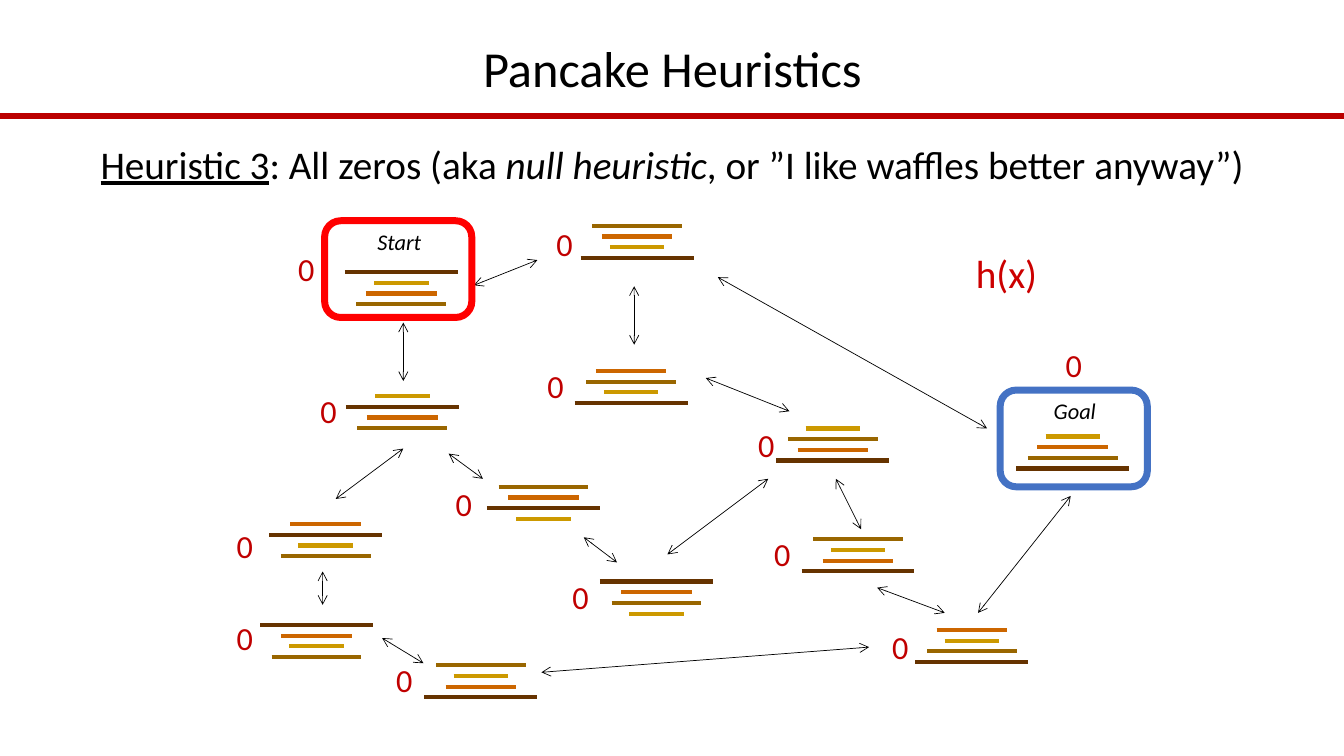
import pptx
import pptx.util
import pptx.dml.color
import pptx.enum.shapes
import pptx.enum.text
import pptx.oxml.ns
from dataclasses import dataclass
from lxml import etree

Inches = pptx.util.Inches
Align = pptx.enum.text.PP_ALIGN


@dataclass
class Theme:
    font: str = "Calibri"
    ink: str = "000000"
    rule: str = "BB0000"
    value: str = "C00000"
    function: str = "CC0000"
    start: str = "FF0000"
    goal: str = "4472C4"
    title_size: int = 36
    body_size: int = 28
    value_size: int = 23
    caption_size: int = 16
    rule_width: float = 4
    pancake_width: float = 3
    arrow_width: float = 0.5
    frame_width: float = 5
    pancake_pitch: float = 0.106


# Pancake size number: (length, colour)
PANCAKES = {1: (0.54, "CC9900"), 2: (0.7, "CC6600"),
            3: (0.89, "996600"), 4: (1.12, "663300")}

# Each state: pancakes from top to bottom, centre, top, left and top of its value
STATES = [
    ((4, 1, 2, 3), 3.98, 2.7, 2.86, 2.42),
    ((1, 4, 2, 3), 3.99, 3.93, 3.08, 3.83),
    ((3, 2, 1, 4), 6.32, 2.24, 5.42, 2.17),
    ((2, 4, 1, 3), 3.23, 5.2, 2.25, 5.17),
    ((3, 2, 4, 1), 5.39, 4.83, 4.42, 4.75),
    ((1, 2, 3, 4), 10.64, 4.33, 10.47, 3.37),
    ((2, 3, 1, 4), 6.26, 3.68, 5.33, 3.58),
    ((4, 2, 3, 1), 6.51, 5.77, 5.58, 5.67),
    ((4, 2, 1, 3), 3.14, 6.2, 2.25, 6.08),
    ((3, 1, 2, 4), 4.77, 6.6, 3.83, 6.5),
    ((1, 3, 2, 4), 8.26, 4.25, 7.42, 4.17),
    ((2, 1, 3, 4), 9.64, 6.25, 8.75, 6.17),
    ((3, 1, 2, 4), 8.51, 5.35, 7.58, 5.25),
]

# Flips between states: start point, end point
FLIPS = [
    (5.33, 2.58, 4.7, 2.83), (4, 3.78, 4, 3.2),
    (3.33, 4.95, 4, 4.45), (4.79, 4.75, 4.45, 4.5),
    (3.2, 6, 3.2, 5.67), (4.2, 6.58, 3.79, 6.33),
    (8.62, 6.42, 5.37, 6.67), (6.12, 5.58, 5.79, 5.33),
    (7.62, 4.75, 6.62, 5.5), (7, 3.75, 7.83, 4.08),
    (6.29, 2.84, 6.29, 3.42), (9.79, 4.25, 7.12, 2.75),
    (8.29, 4.75, 8.54, 5.25), (8.7, 5.83, 9.37, 6.08),
    (9.7, 6.08, 10.62, 4.92),
]


def rgb(colour):
    return pptx.dml.color.RGBColor.from_string(colour)


class Painter:
    def __init__(self, page, theme):
        self.page = page
        self.theme = theme

    def line(self, x1, y1, x2, y2, colour, width, arrows=False):
        connector = self.page.shapes.add_connector(
            pptx.enum.shapes.MSO_CONNECTOR.STRAIGHT,
            Inches(x1), Inches(y1), Inches(x2), Inches(y2))
        connector.line.color.rgb = rgb(colour)
        connector.line.width = pptx.util.Pt(width)
        qn = pptx.oxml.ns.qn
        properties = connector._element.spPr
        if arrows:
            outline = properties.find(qn("a:ln"))
            for end in ("a:headEnd", "a:tailEnd"):
                etree.SubElement(outline, qn(end), type="arrow")
        etree.SubElement(properties, qn("a:effectLst"))

    def text(self, left, top, width, height, spans, size, colour, align=Align.LEFT):
        """Spans are (wording, style) pairs; style is "", "italic" or "underline"."""
        box = self.page.shapes.add_textbox(
            Inches(left), Inches(top), Inches(width), Inches(height))
        frame = box.text_frame
        frame.word_wrap = True
        frame.vertical_anchor = pptx.enum.text.MSO_ANCHOR.MIDDLE
        para = frame.paragraphs[0]
        para.alignment = align
        para.font.name = self.theme.font
        para.font.size = pptx.util.Pt(size)
        para.font.color.rgb = rgb(colour)
        for wording, style in spans:
            span = para.add_run()
            span.text = wording
            if style:
                setattr(span.font, style, True)

    def stack(self, order, centre, top):
        for row, pancake in enumerate(order):
            length, colour = PANCAKES[pancake]
            y = top + row * self.theme.pancake_pitch
            self.line(centre - length / 2, y, centre + length / 2, y,
                      colour, self.theme.pancake_width)

    def frame(self, left, top, caption, colour):
        box = self.page.shapes.add_shape(
            pptx.enum.shapes.MSO_SHAPE.ROUNDED_RECTANGLE,
            Inches(left), Inches(top), Inches(1.46), Inches(0.96))
        box.shadow.inherit = False
        box.fill.background()
        box.line.color.rgb = rgb(colour)
        box.line.width = pptx.util.Pt(self.theme.frame_width)
        self.text(left + 0.32, top + 0.02, 0.84, 0.37, [(caption, "italic")],
                  self.theme.caption_size, self.theme.ink, Align.CENTER)


def main():
    deck = pptx.Presentation()
    deck.slide_width, deck.slide_height = Inches(13.33), Inches(7.5)
    theme = Theme()
    painter = Painter(deck.slides.add_slide(deck.slide_layouts[6]), theme)

    # Title, rule and heuristic
    painter.line(0, 1.15, 13.33, 1.15, theme.rule, theme.rule_width)
    painter.text(0.92, 0.34, 11.5, 0.66, [("Pancake Heuristics", "")],
                 theme.title_size, theme.ink, Align.CENTER)
    painter.text(0, 1.34, 13.33, 0.57,
                 [("Heuristic 3", "underline"), (": All zeros (aka ", ""),
                  ("null heuristic", "italic"),
                  (", or ”I like waffles better anyway”)", "")],
                 theme.body_size, theme.ink, Align.CENTER)

    # State graph
    for order, centre, top, value_left, value_top in STATES:
        painter.stack(order, centre, top)
        painter.text(value_left, value_top, 0.33, 0.49, [("0", "")],
                     theme.value_size, theme.value)
    for flip in FLIPS:
        painter.line(*flip, theme.ink, theme.arrow_width, arrows=True)

    # Function label and end states
    painter.text(9.58, 2.42, 1.25, 0.57, [("h(x)", "")],
                 theme.body_size, theme.function)
    painter.frame(3.22, 2.19, "Start", theme.start)
    painter.frame(9.92, 3.87, "Goal", theme.goal)

    deck.save("out.pptx")


if __name__ == "__main__":
    main()
